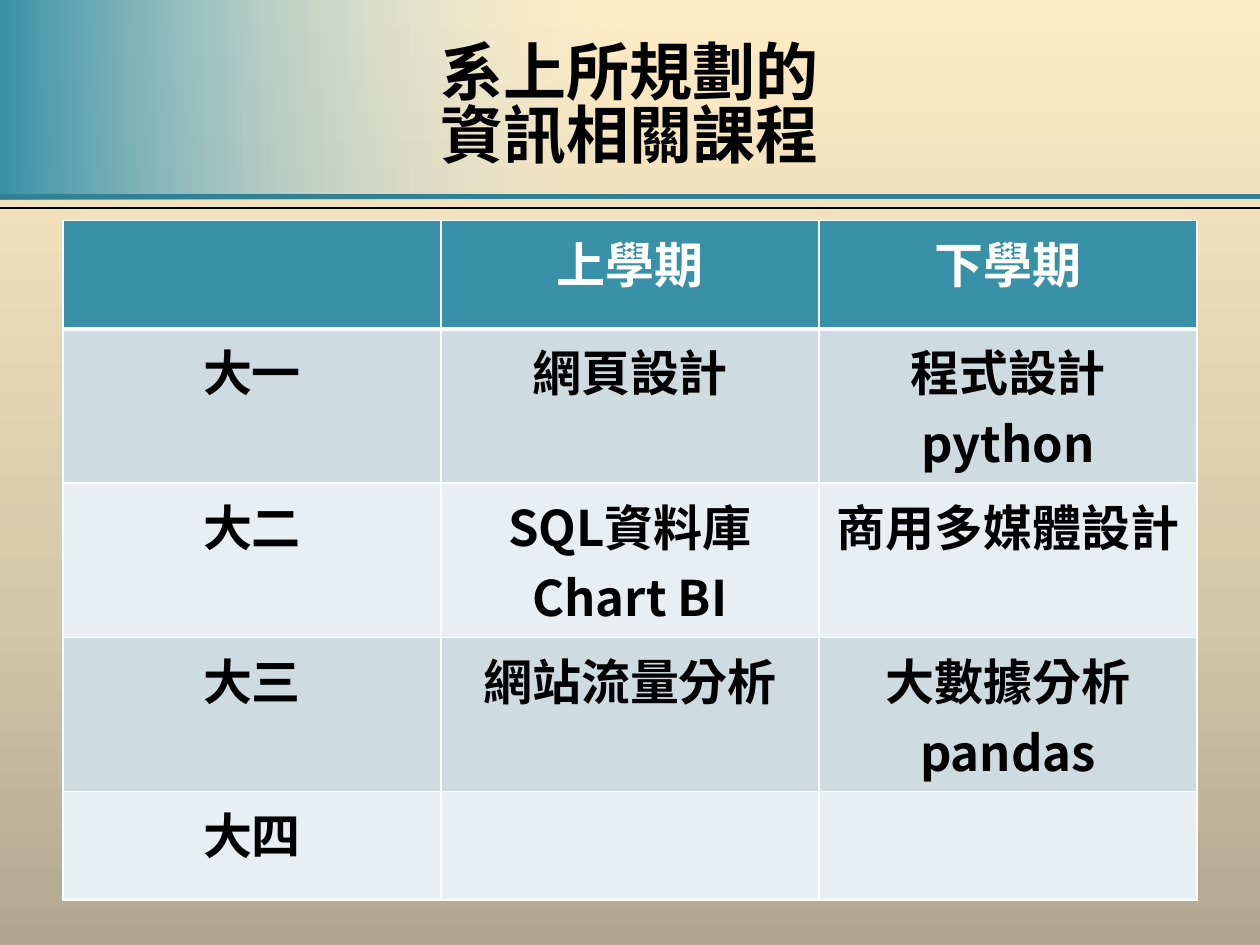
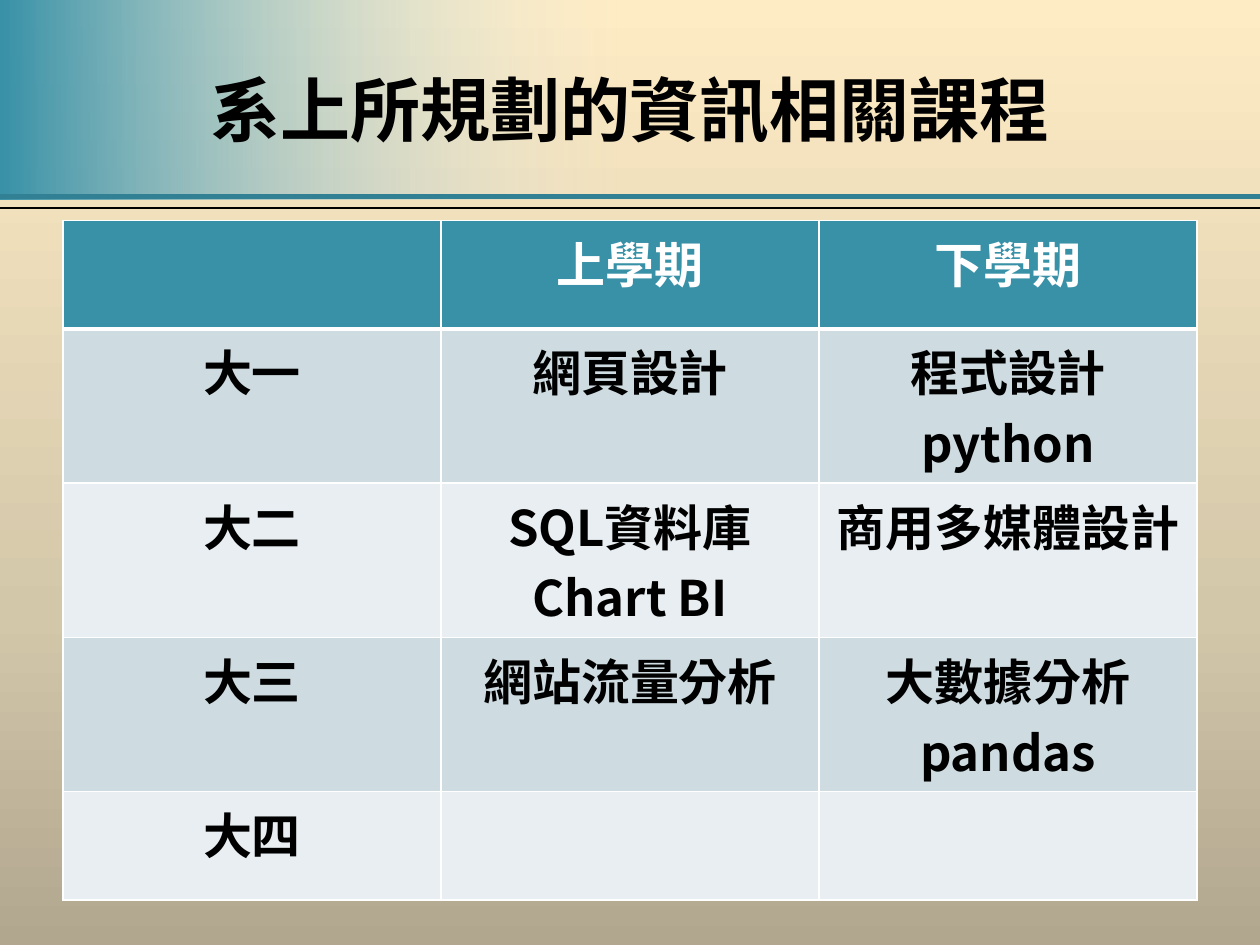
from lxml.etree import SubElement
from pptx import Presentation
from pptx.dml.color import RGBColor
from pptx.enum.lang import MSO_LANGUAGE_ID as Language
from pptx.enum.shapes import MSO_CONNECTOR as Connector, MSO_SHAPE as Shape
from pptx.enum.text import MSO_ANCHOR as Anchor, PP_ALIGN as Align
from pptx.oxml.ns import qn
from pptx.util import Inches, Pt

WIDTH, HEIGHT = Inches(10), Inches(7.5)
MARGIN = Inches(0.5)
CONTENT_WIDTH = WIDTH - 2 * MARGIN
FONT = "Noto Sans CJK SC"

TEAL = RGBColor(0x38, 0x91, 0xA7)
DARK_TEAL = RGBColor(0x31, 0x80, 0x93)
BAND_DARK = RGBColor(0xCE, 0xDC, 0xE1)
BAND_LIGHT = RGBColor(0xE8, 0xEE, 0xF1)
SAND_DARK = RGBColor(0xB1, 0xA7, 0x8F)
SAND = RGBColor(0xD3, 0xC7, 0xAA)
CREAM = RGBColor(0xFE, 0xEC, 0xC4)
BLACK = RGBColor(0, 0, 0)
WHITE = RGBColor(0xFF, 0xFF, 0xFF)

BACKGROUND_STOPS = [(0, SAND_DARK, 100), (35, SAND, 100), (100, CREAM, 100)]
BAND_STOPS = [(0, TEAL, 100), (49, BAND_LIGHT, 0)]

COURSES = [
    [[], ["上學期"], ["下學期"]],
    [["大一"], ["網頁設計"], ["程式設計python"]],
    [["大二"], ["SQL資料庫", "Chart BI"], ["商用多媒體設計"]],
    [["大三"], ["網站流量分析"], ["大數據分析pandas"]],
    [["大四"], [], []],
]
SHORT_ROW, TALL_ROW = Inches(0.86), Inches(1.22)
ROW_HEIGHTS = [SHORT_ROW, TALL_ROW, TALL_ROW, TALL_ROW, SHORT_ROW]

TITLES = [
    (["系上所規劃的", "資訊相關課程"], 36, 0.83),
    (["系上所規劃的資訊相關課程"], 40, 1.0),
]


def add_color(parent, color, opacity=100):
    element = SubElement(parent, qn("a:srgbClr"), val=str(color))
    if opacity < 100:
        SubElement(element, qn("a:alpha"), val=str(opacity * 1000))


def set_gradient(fill, owner, stops, angle):
    fill.gradient()
    gradient = owner.find(".//" + qn("a:gradFill"))
    for child in list(gradient):
        gradient.remove(child)
    stop_list = SubElement(gradient, qn("a:gsLst"))
    for position, color, opacity in stops:
        stop = SubElement(stop_list, qn("a:gs"), pos=str(position * 1000))
        add_color(stop, color, opacity)
    SubElement(gradient, qn("a:lin"), ang=str(angle * 60000), scaled="0")


def add_run(paragraph, text, size, color):
    run = paragraph.add_run()
    run.text = text
    font = run.font
    font.name, font.size, font.bold = FONT, Pt(size), True
    font.color.rgb = color
    font.language_id = Language.TRADITIONAL_CHINESE
    SubElement(run._r.get_or_add_rPr(), qn("a:ea"), typeface=FONT)


def add_rule(slide, top, color, weight):
    rule = slide.shapes.add_connector(Connector.STRAIGHT, 0, top, WIDTH, top)
    rule.line.color.rgb = color
    rule.line.width = Pt(weight)
    SubElement(rule._element.spPr, qn("a:effectLst"))


def add_backdrop(slide):
    set_gradient(slide.background.fill, slide.element, BACKGROUND_STOPS, 270)
    band = slide.shapes.add_shape(Shape.RECTANGLE, 0, 0, WIDTH, Inches(1.58))
    band.shadow.inherit = False
    band.line.fill.background()
    set_gradient(band.fill, band._element, BAND_STOPS, 0)
    add_rule(slide, Inches(1.56), DARK_TEAL, 3)
    add_rule(slide, Inches(1.65), BLACK, 1.25)


def add_title(slide, box, lines, size, spacing):
    frame = slide.shapes.add_textbox(*box).text_frame
    frame.word_wrap = True
    frame.vertical_anchor = Anchor.MIDDLE
    paragraph = frame.paragraphs[0]
    paragraph.alignment = Align.CENTER
    paragraph.line_spacing = spacing
    for index, line in enumerate(lines):
        if index:
            paragraph.add_line_break()
        add_run(paragraph, line, size, BLACK)


def set_borders(cell, bottom_weight):
    properties = cell._tc.get_or_add_tcPr()
    for side, weight in (("L", 1), ("R", 1), ("T", 1), ("B", bottom_weight)):
        border = SubElement(properties, qn(f"a:ln{side}"), w=str(Pt(weight)))
        add_color(SubElement(border, qn("a:solidFill")), WHITE)


def fill_cell(cell, lines, row_index):
    header = row_index == 0
    set_borders(cell, 3 if header else 1)
    cell.fill.solid()
    cell.fill.fore_color.rgb = TEAL if header else (BAND_LIGHT, BAND_DARK)[row_index % 2]
    frame = cell.text_frame
    for index, line in enumerate(lines):
        paragraph = frame.add_paragraph() if index else frame.paragraphs[0]
        paragraph.alignment = Align.CENTER
        add_run(paragraph, line, 28, WHITE if header else BLACK)


def add_course_table(slide, left, top, width):
    columns = len(COURSES[0])
    table = slide.shapes.add_table(
        len(COURSES), columns, left, top, width, sum(ROW_HEIGHTS)).table
    for column in table.columns:
        column.width = width // columns
    for row_index, (row, height) in enumerate(zip(COURSES, ROW_HEIGHTS)):
        table.rows[row_index].height = height
        for column_index, lines in enumerate(row):
            fill_cell(table.cell(row_index, column_index), lines, row_index)


def add_course_slide(presentation, lines, size, spacing):
    slide = presentation.slides.add_slide(presentation.slide_layouts[6])
    add_backdrop(slide)
    add_course_table(slide, MARGIN, Inches(1.75), CONTENT_WIDTH)
    title_box = (MARGIN, Inches(0.17), CONTENT_WIDTH, Inches(1.38))
    add_title(slide, title_box, lines, size, spacing)


def main():
    presentation = Presentation()
    presentation.slide_width, presentation.slide_height = WIDTH, HEIGHT
    for lines, size, spacing in TITLES:
        add_course_slide(presentation, lines, size, spacing)
    presentation.save("out.pptx")


if __name__ == "__main__":
    main()
